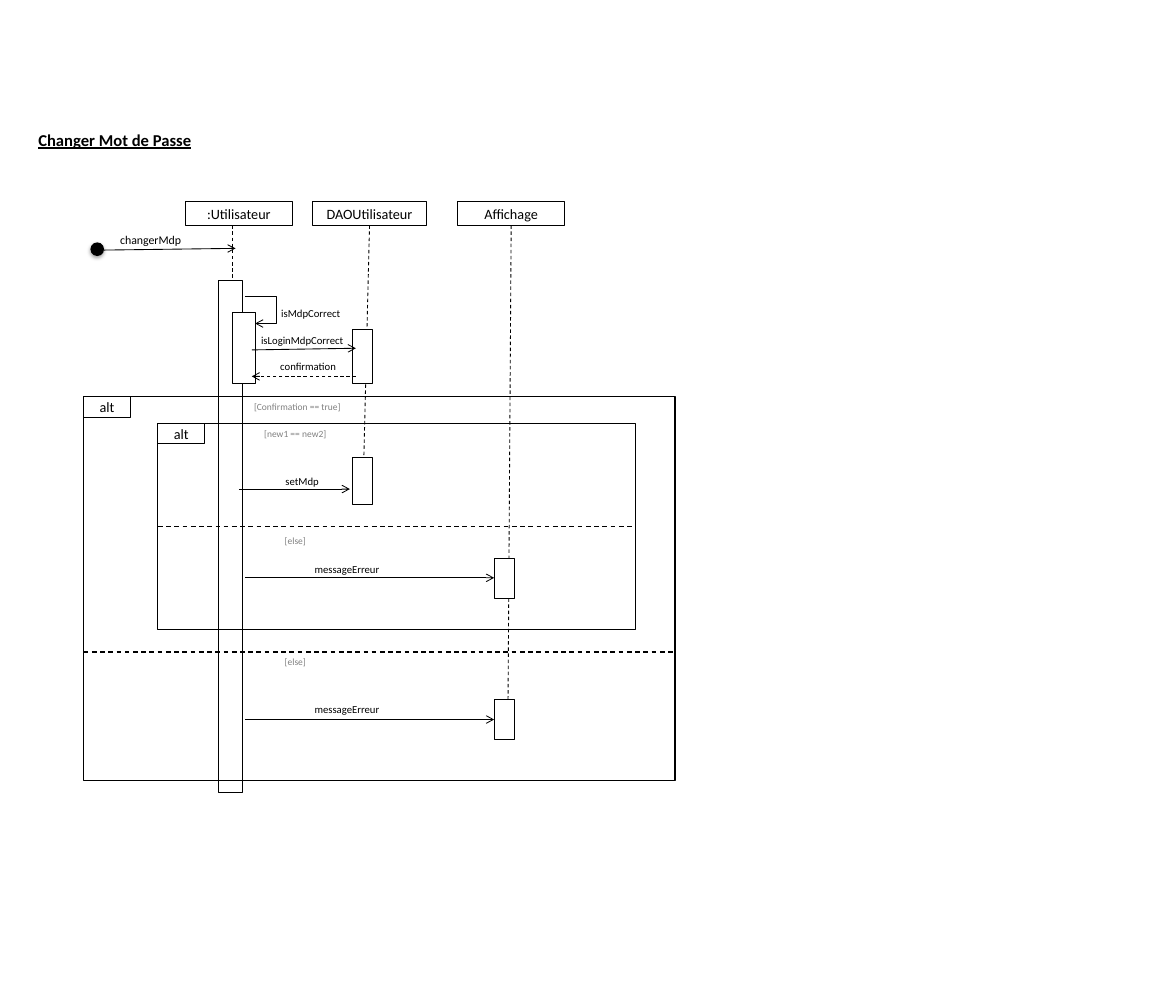
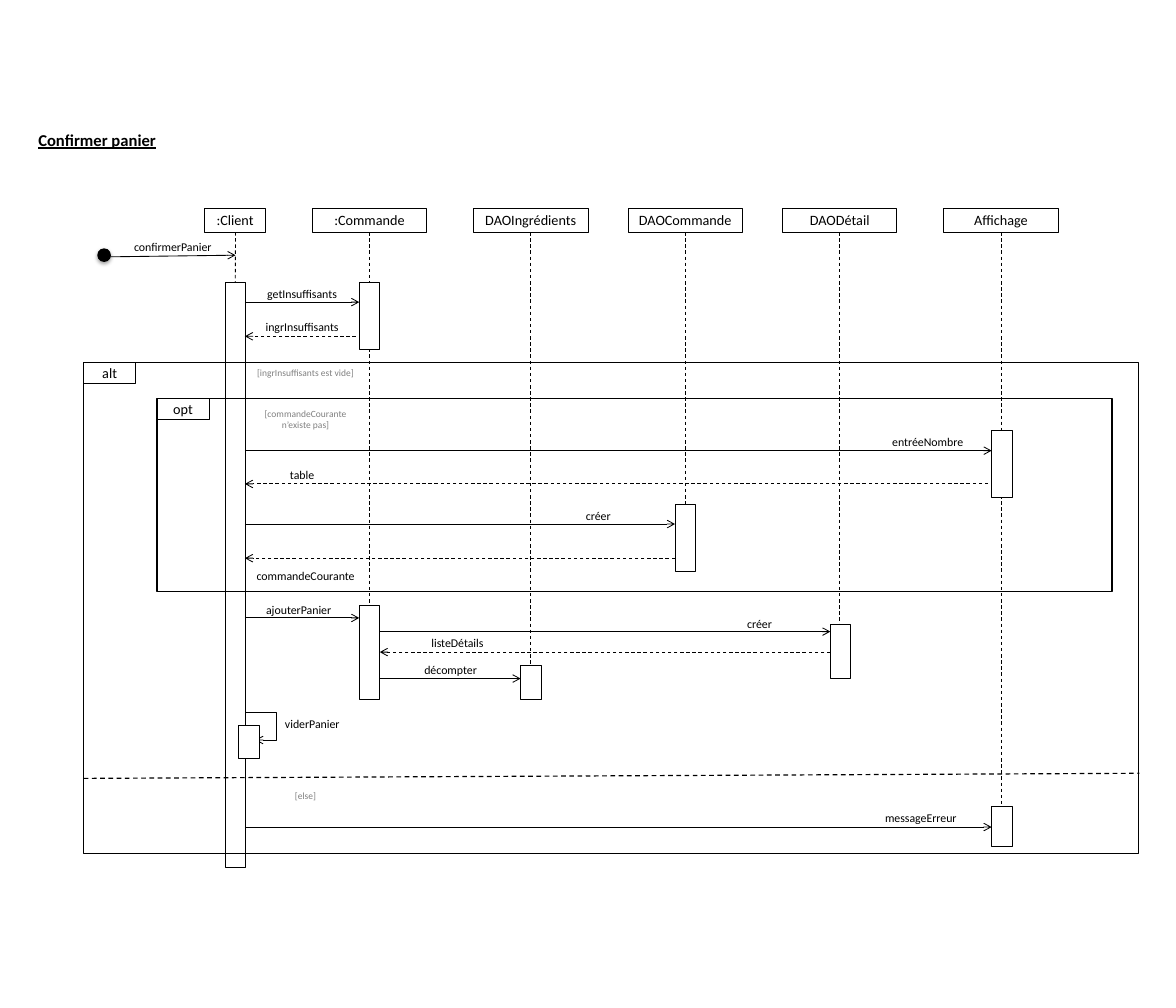
from lxml import etree
from pptx import Presentation
from pptx.dml.color import RGBColor
from pptx.enum.dml import MSO_LINE
from pptx.enum.shapes import MSO_CONNECTOR, MSO_SHAPE
from pptx.enum.text import MSO_ANCHOR, MSO_AUTO_SIZE, PP_ALIGN
from pptx.oxml.ns import qn
from pptx.util import Inches, Pt

RECTANGLE, OVAL = MSO_SHAPE.RECTANGLE, MSO_SHAPE.OVAL
STRAIGHT, ELBOW = MSO_CONNECTOR.STRAIGHT, MSO_CONNECTOR.ELBOW
DASH = MSO_LINE.DASH
LEFT, CENTER = PP_ALIGN.LEFT, PP_ALIGN.CENTER
MIDDLE, TOP = MSO_ANCHOR.MIDDLE, MSO_ANCHOR.TOP
FIT = MSO_AUTO_SIZE.SHAPE_TO_FIT_TEXT

FONT = "Calibri"
COLORS = {"ink": "000000", "paper": "FFFFFF", "guard": "808080"}
THIN, FRAME = 0.75, 1
HEAD_HEIGHT, TAG_HEIGHT, LABEL_HEIGHT = 0.28, 0.24, 0.25
DOT_SIZE = 0.16
LOOP_REACH, LOOP_WIDTH, LOOP_HEIGHT = 0.37, 0.12, 0.32

deck = Presentation()
deck.slide_width, deck.slide_height = Inches(13.78), Inches(11.81)
blank = deck.slide_layouts[6]


def add_box(page, at, text="", outline=0, fill=None, size=12, color="ink",
            align=CENTER, wrap=True, strong=False):
    place = [Inches(value) for value in at]
    if outline:
        box = page.shapes.add_shape(RECTANGLE, *place)
        box.shadow.inherit = False
        box.line.color.rgb = RGBColor.from_string(COLORS["ink"])
        box.line.width = Pt(outline)
        if fill:
            box.fill.solid()
            box.fill.fore_color.rgb = RGBColor.from_string(COLORS[fill])
        else:
            box.fill.background()
    else:
        box = page.shapes.add_textbox(*place)
        box.text_frame.auto_size = FIT
    if text:
        frame = box.text_frame
        frame.word_wrap = wrap
        frame.vertical_anchor = MIDDLE if outline else TOP
        para = frame.paragraphs[0]
        para.alignment = align
        span = para.add_run()
        span.text = text
        span.font.name, span.font.size = FONT, Pt(size)
        span.font.bold = span.font.underline = strong
        span.font.color.rgb = RGBColor.from_string(COLORS[color])


def add_line(page, ends, kind=STRAIGHT, width=THIN, dashed=False, arrow=False):
    line = page.shapes.add_connector(kind, *[Inches(value) for value in ends])
    line.line.color.rgb = RGBColor.from_string(COLORS["ink"])
    line.line.width = Pt(width)
    if dashed:
        line.line.dash_style = DASH
    if arrow:
        etree.SubElement(line.line._get_or_add_ln(), qn("a:tailEnd"), type="arrow")
    etree.SubElement(line._element.spPr, qn("a:effectLst"))
    return line


password = {
    "title": ("Changer Mot de Passe", 2.28),
    "head_top": 2.36,
    "heads": [(":Utilisateur", 2.17, 1.26), ("DAOUtilisateur", 3.66, 1.34),
              ("Affichage", 5.36, 1.26)],
    "lifelines": [(2.72, 2.72, 9.13), (4.33, 4.25, 5.91), (5.99, 5.95, 8.66)],
    "dot": (1.06, 2.84),
    "trigger": ("changerMdp", 1.3, 2.68, 0.93),
    "loop": (2.87, 3.47),
    "bars": [(2.56, 3.29, 0.28, 6), (2.72, 3.66, 0.27, 0.83),
             (4.13, 3.86, 0.24, 0.63), (4.13, 5.36, 0.24, 0.55),
             (5.79, 6.54, 0.24, 0.47), (5.79, 8.19, 0.24, 0.47)],
    "frames": [("alt", 0.98, 4.65, 6.93, 4.49), ("alt", 1.85, 4.96, 5.6, 2.42)],
    "tag_width": 0.55,
    "dividers": [(1.85, 6.17, 7.45, 6.17), (0.98, 7.64, 7.91, 7.64)],
    "messages": [(1.22, 2.93, 2.76, 2.91), (2.95, 4.1, 4.17, 4.08),
                 (4.17, 4.41, 2.95, 4.41), (2.8, 5.73, 4.1, 5.73),
                 (2.87, 6.77, 5.79, 6.77), (2.87, 8.43, 5.79, 8.43)],
    "label_size": 9,
    "labels": [("isMdpCorrect", 3.19, 3.54, 0.9),
               ("isLoginMdpCorrect", 2.95, 3.86, 1.18),
               ("confirmation", 3.18, 4.17, 0.86),
               ("setMdp", 3.03, 5.51, 1.02),
               ("messageErreur", 3.58, 6.54, 0.97),
               ("messageErreur", 3.58, 8.19, 0.97)],
    "guards": [("[Confirmation == true]", 2.85, 4.65, 1.27),
               ("[new1 == new2]", 2.87, 4.96, 1.18),
               ("[else]", 2.87, 6.22, 1.18), ("[else]", 2.87, 7.64, 1.18)],
}

basket = {
    "title": ("Confirmer panier", 1.65),
    "head_top": 2.44,
    "heads": [(":Client", 2.4, 0.71), (":Commande", 3.66, 1.34),
              ("DAOIngrédients", 5.55, 1.34), ("DAOCommande", 7.36, 1.34),
              ("DAODétail", 9.17, 1.34), ("Affichage", 11.06, 1.34)],
    "lifelines": [(2.76, 2.72, 10.12), (4.33, 4.33, 8.19), (6.22, 6.22, 8.19),
                  (8.03, 8.03, 6.69), (9.84, 9.84, 7.95), (11.73, 11.73, 9.92)],
    "dot": (1.14, 2.91),
    "trigger": ("confirmerPanier", 1.46, 2.76, 1.13),
    "loop": (2.87, 8.35),
    "bars": [(2.64, 3.31, 0.24, 6.85), (2.8, 8.5, 0.24, 0.39),
             (4.21, 3.31, 0.24, 0.79), (4.21, 7.09, 0.24, 1.1),
             (6.1, 7.8, 0.24, 0.39), (7.91, 5.91, 0.24, 0.79),
             (9.73, 7.32, 0.24, 0.63), (11.62, 5.04, 0.24, 0.79),
             (11.62, 9.45, 0.24, 0.47)],
    "frames": [("alt", 0.98, 4.25, 12.36, 5.75), ("opt", 1.84, 4.67, 11.19, 2.26)],
    "tag_width": 0.61,
    "dividers": [(0.98, 9.12, 13.35, 9.06)],
    "messages": [(1.22, 3.01, 2.76, 2.99), (2.87, 3.54, 4.21, 3.54),
                 (4.17, 3.94, 2.87, 3.94), (2.87, 5.28, 11.62, 5.28),
                 (11.58, 5.67, 2.87, 5.67), (2.87, 6.14, 7.91, 6.14),
                 (7.91, 6.54, 2.87, 6.54), (2.87, 7.24, 4.21, 7.24),
                 (4.45, 7.4, 9.73, 7.4), (9.73, 7.64, 4.45, 7.64),
                 (4.45, 7.95, 6.1, 7.95), (2.87, 9.69, 11.62, 9.69)],
    "label_size": 10,
    "labels": [("getInsuffisants", 2.87, 3.31, 1.34),
               ("ingrInsuffisants", 2.87, 3.7, 1.34),
               ("entréeNombre", 10.2, 5.04, 1.34), ("table", 2.87, 5.43, 1.34),
               ("créer", 6.34, 5.91, 1.34),
               ("commandeCourante", 2.87, 6.61, 1.42),
               ("ajouterPanier", 2.87, 7.01, 1.26), ("créer", 8.23, 7.17, 1.34),
               ("listeDétails", 4.69, 7.4, 1.34),
               ("décompter", 4.61, 7.72, 1.34),
               ("viderPanier", 3.03, 8.35, 1.26),
               ("messageErreur", 10.12, 9.45, 1.34)],
    "guards": [("[ingrInsuffisants est vide]", 2.87, 4.25, 1.42),
               ("[commandeCourante n’existe pas]", 2.87, 4.73, 1.42),
               ("[else]", 2.87, 9.21, 1.42)],
}

for diagram in (password, basket):
    page = deck.slides.add_slide(blank)
    title, title_width = diagram["title"]
    add_box(page, (0.35, 1.47, title_width, 0.34), title, size=14, align=LEFT,
            wrap=False, strong=True)

    head_top = diagram["head_top"]
    for name, left, width in diagram["heads"]:
        add_box(page, (left, head_top, width, HEAD_HEIGHT), name, outline=THIN)
    for start, end, bottom in diagram["lifelines"]:
        add_line(page, (start, head_top + HEAD_HEIGHT, end, bottom), dashed=True)

    left, top = diagram["loop"]
    loop = add_line(page, (left, top, left + LOOP_WIDTH, top + LOOP_HEIGHT),
                    kind=ELBOW, arrow=True)
    bend = loop._element.spPr.find(qn("a:prstGeom")).find(qn("a:avLst"))
    reach = round(LOOP_REACH / LOOP_WIDTH * 100000)
    etree.SubElement(bend, qn("a:gd"), name="adj1", fmla=f"val {reach}")

    for bar in diagram["bars"]:
        add_box(page, bar, outline=THIN, fill="paper")
    for tag, left, top, width, height in diagram["frames"]:
        add_box(page, (left, top, width, height), outline=FRAME)
        add_box(page, (left, top, diagram["tag_width"], TAG_HEIGHT), tag, outline=THIN)
    for divider in diagram["dividers"]:
        add_line(page, divider, width=FRAME, dashed=True)
    for message in diagram["messages"]:
        add_line(page, message, dashed=message[2] < message[0], arrow=True)

    text, left, top, width = diagram["trigger"]
    add_box(page, (left, top, width, LABEL_HEIGHT), text, size=10, wrap=False)
    for text, left, top, width in diagram["labels"]:
        add_box(page, (left, top, width, LABEL_HEIGHT), text,
                size=diagram["label_size"], wrap=False)
    for text, left, top, width in diagram["guards"]:
        add_box(page, (left, top, width, LABEL_HEIGHT), text, size=8, color="guard")

    left, top = diagram["dot"]
    dot = page.shapes.add_shape(OVAL, Inches(left), Inches(top),
                                Inches(DOT_SIZE), Inches(DOT_SIZE))
    dot.fill.solid()
    dot.fill.fore_color.rgb = RGBColor.from_string(COLORS["ink"])
    dot.line.fill.background()
    dot.shadow.inherit = False
    effects = dot._element.spPr.find(qn("a:effectLst"))
    shadow = etree.SubElement(effects, qn("a:outerShdw"), blurRad=str(Pt(3.1)),
                              dist=str(Pt(1.8)), dir="5400000", rotWithShape="0")
    shade = etree.SubElement(shadow, qn("a:srgbClr"), val=COLORS["ink"])
    etree.SubElement(shade, qn("a:alpha"), val="35000")

deck.save("out.pptx")
